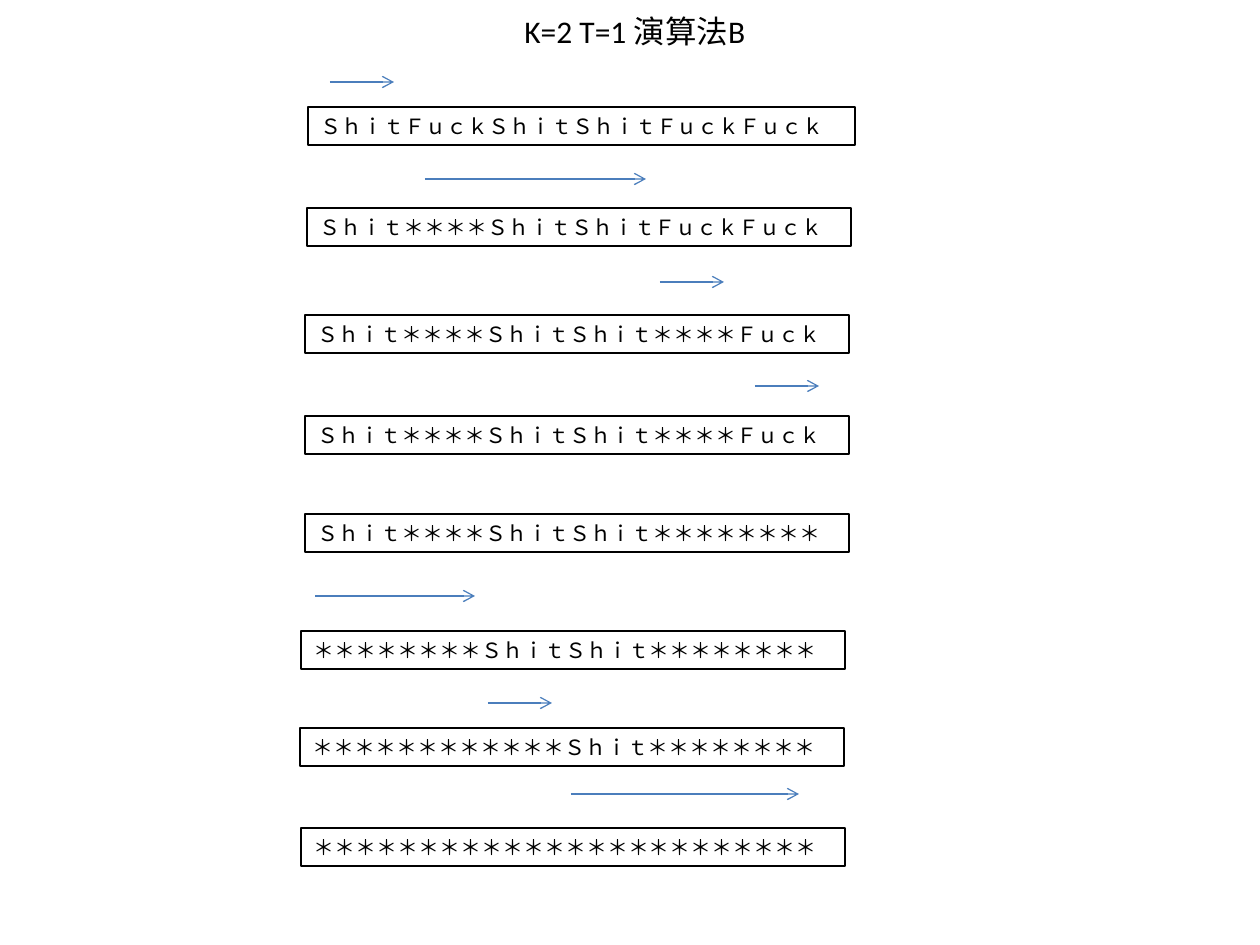
"""Build the slide tracing algorithm B on a masked string, step by step."""
from dataclasses import dataclass

from lxml.etree import SubElement
from pptx import Presentation
from pptx.dml.color import RGBColor
from pptx.enum.shapes import MSO_CONNECTOR as Connector
from pptx.enum.text import MSO_ANCHOR as Anchor
from pptx.oxml.ns import qn
from pptx.util import Pt

TITLE = "K=2 T=1 演算法B"
TITLE_BOX = (512, 6, 248, 50)
STEPS = [
    (308, 107, 547, "ＳｈｉｔＦｕｃｋＳｈｉｔＳｈｉｔＦｕｃｋＦｕｃｋ"),
    (307, 208, 544, "Ｓｈｉｔ＊＊＊＊ＳｈｉｔＳｈｉｔＦｕｃｋＦｕｃｋ"),
    (305, 315, 544, "Ｓｈｉｔ＊＊＊＊ＳｈｉｔＳｈｉｔ＊＊＊＊Ｆｕｃｋ"),
    (305, 416, 544, "Ｓｈｉｔ＊＊＊＊ＳｈｉｔＳｈｉｔ＊＊＊＊Ｆｕｃｋ"),
    (305, 514, 544, "Ｓｈｉｔ＊＊＊＊ＳｈｉｔＳｈｉｔ＊＊＊＊＊＊＊＊"),
    (301, 631, 544, "＊＊＊＊＊＊＊＊ＳｈｉｔＳｈｉｔ＊＊＊＊＊＊＊＊"),
    (300, 728, 544, "＊＊＊＊＊＊＊＊＊＊＊＊Ｓｈｉｔ＊＊＊＊＊＊＊＊"),
    (301, 828, 544, "＊＊＊＊＊＊＊＊＊＊＊＊＊＊＊＊＊＊＊＊＊＊＊＊"),
]
STEP_HEIGHT = 38
ARROWS = [
    (330, 394, 82),
    (425, 646, 179),
    (660, 724, 282),
    (755, 819, 386),
    (315, 475, 596),
    (488, 552, 703),
    (571, 799, 794),
]


@dataclass(frozen=True)
class Theme:
    font: str = "Calibri"
    ink: RGBColor = RGBColor(0, 0, 0)
    arrow: RGBColor = RGBColor(0x4B, 0x7E, 0xBC)
    title_size: Pt = Pt(18)
    step_size: Pt = Pt(12)
    line_width: Pt = Pt(0.75)


THEME = Theme()


def px(value):
    return round(value * 914400 / 126)


def add_text(slide, box, text, size):
    shape = slide.shapes.add_textbox(*map(px, box))
    frame = shape.text_frame
    frame.word_wrap = True
    frame.vertical_anchor = Anchor.TOP
    paragraph = frame.paragraphs[0]
    paragraph.text = text
    paragraph.font.name = THEME.font
    paragraph.font.size = size
    paragraph.font.color.rgb = THEME.ink
    return shape


def set_line(shape, color):
    shape.line.color.rgb = color
    shape.line.width = THEME.line_width


def add_arrow(slide, start, end, y):
    arrow = slide.shapes.add_connector(
        Connector.STRAIGHT, px(start), px(y), px(end), px(y))
    set_line(arrow, THEME.arrow)
    SubElement(arrow.line._get_or_add_ln(), qn("a:tailEnd"), type="arrow")
    SubElement(arrow._element.spPr, qn("a:effectLst"))


def main():
    presentation = Presentation()
    presentation.slide_width, presentation.slide_height = px(1260), px(945)
    slide = presentation.slides.add_slide(presentation.slide_layouts[6])
    add_text(slide, TITLE_BOX, TITLE, THEME.title_size)
    for left, top, width, text in STEPS:
        box = (left, top, width, STEP_HEIGHT)
        set_line(add_text(slide, box, text, THEME.step_size), THEME.ink)
    for arrow in ARROWS:
        add_arrow(slide, *arrow)
    presentation.save("out.pptx")


if __name__ == "__main__":
    main()
